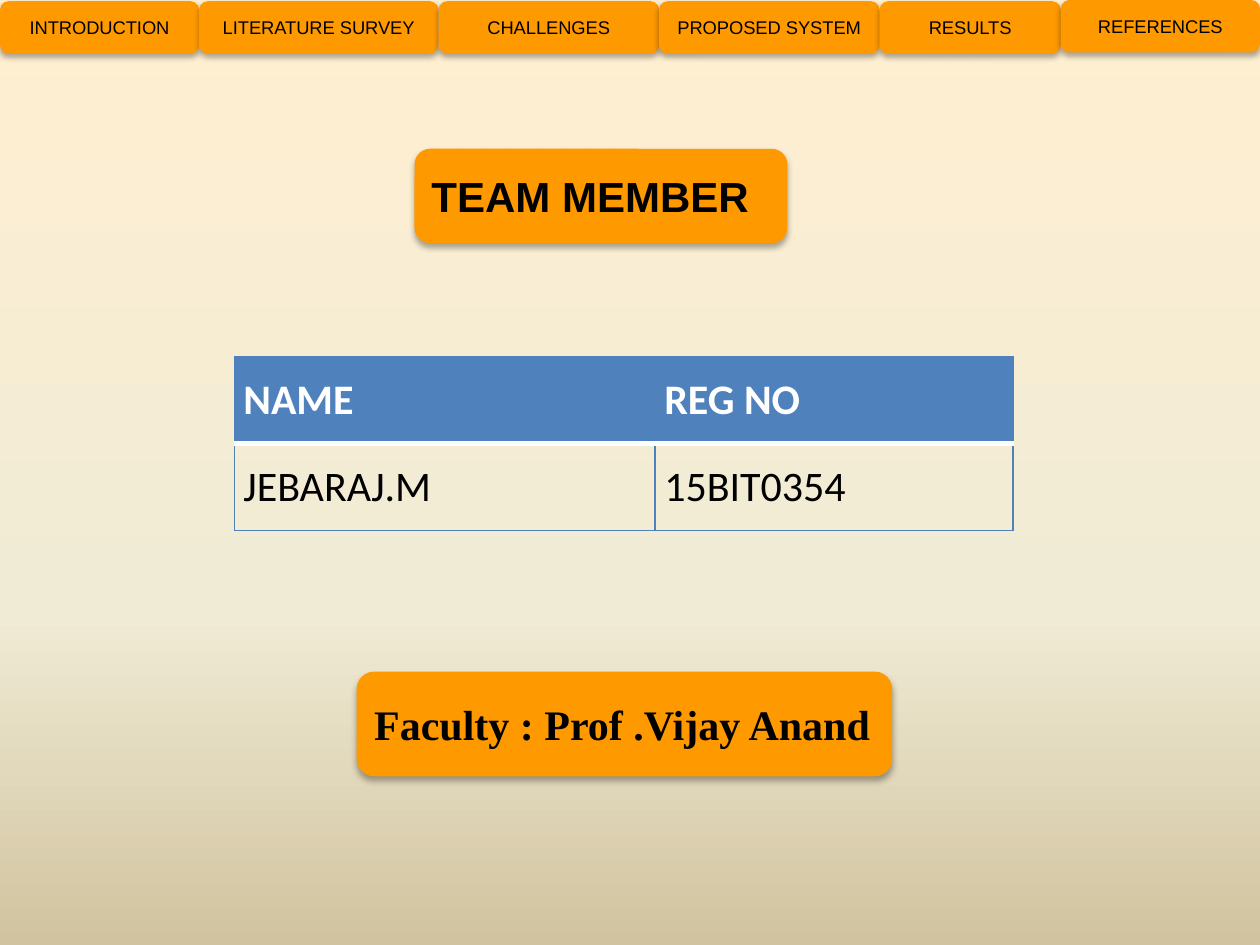
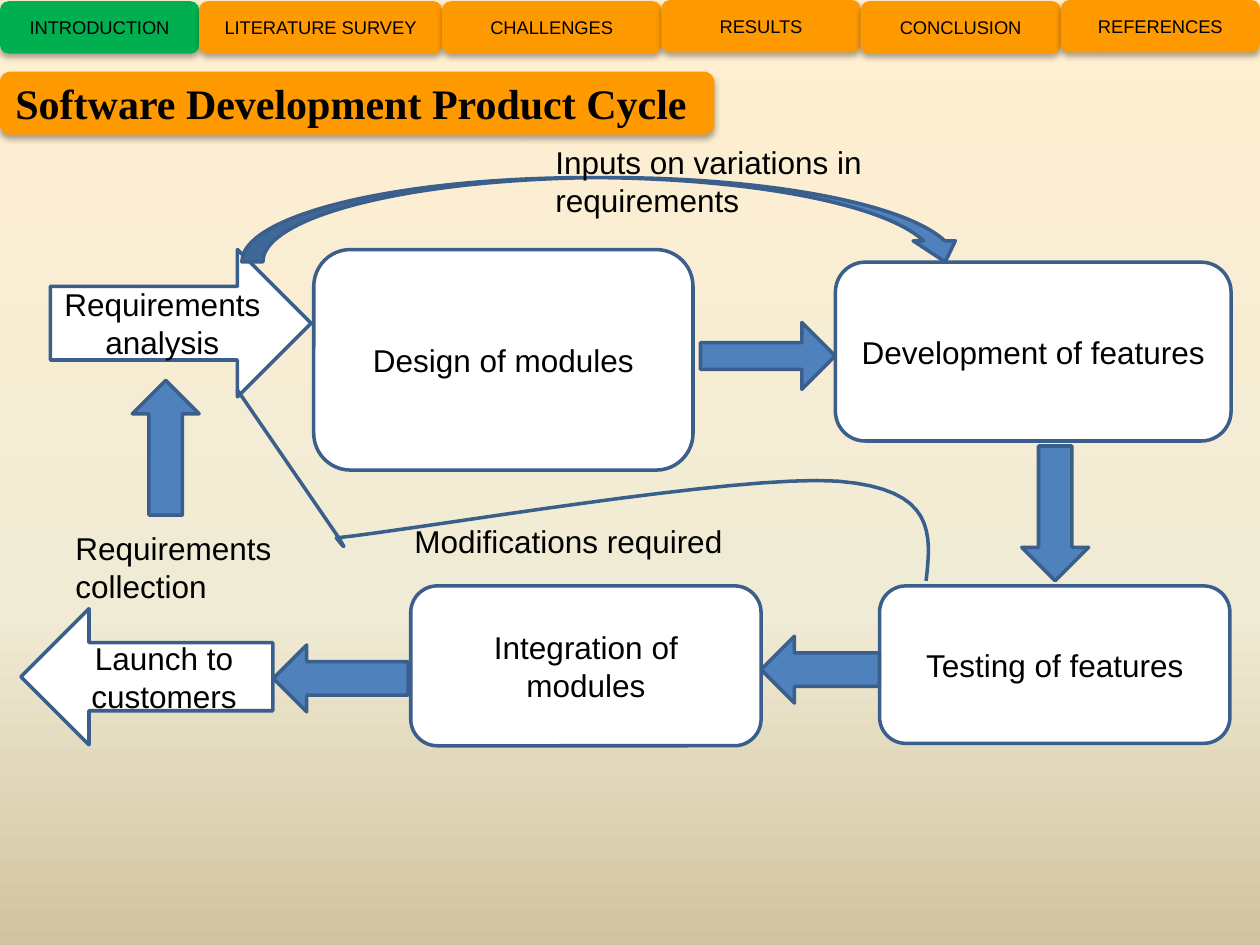
from collections import namedtuple

from lxml import etree
from pptx import Presentation
from pptx import util as u
from pptx.dml import color
from pptx.enum import shapes, text
from pptx.oxml import ns

Kind = shapes.MSO_SHAPE
Align = text.PP_ALIGN
ORANGE, GREEN, BLUE, OUTLINE = "FF9900", "00B050", "4F81BD", "3A5F8C"
BLACK, WHITE = "000000", "FFFFFF"
BACKDROP = ((0, "FFEFD1"), (65, "F0EBD5"), (100, "D1C39F"))


class Box(namedtuple("Box", "left top width height")):
    def inner(self, left, top, width, height):
        return Box(self.left + left, self.top + top, width, height)

    def lengths(self):
        return [u.Pt(value) for value in self]


def rgb(value):
    return color.RGBColor.from_string(value)


def add_xml(parent, tag, **attributes):
    element = etree.SubElement(parent, ns.qn(tag))
    for name, value in attributes.items():
        element.set(name, str(value))
    return element


def write(frame, words, size=18, font="Arial", ink=BLACK, bold=False,
          align=Align.LEFT, anchor=text.MSO_ANCHOR.MIDDLE):
    frame.word_wrap = True
    frame.vertical_anchor = anchor
    para = frame.paragraphs[0]
    para.alignment = align
    span = para.add_run()
    span.text = words
    span.font.size = u.Pt(size)
    span.font.name = font
    span.font.bold = bold
    span.font.color.rgb = rgb(ink)


def add_label(page, box, words):
    label = page.shapes.add_textbox(*box.lengths())
    write(label.text_frame, words, anchor=text.MSO_ANCHOR.TOP)


def add_block(page, kind, box, fill, line=None):
    block = page.shapes.add_shape(kind, *box.lengths())
    block.shadow.inherit = False
    block.fill.solid()
    block.fill.fore_color.rgb = rgb(fill)
    if line:
        block.line.color.rgb = rgb(line)
        block.line.width = u.Pt(2)
    else:
        block.line.fill.background()
    return block


def add_plate(page, box, words, fill=ORANGE, **style):
    """Rounded plate with a soft shadow below it."""
    plate = add_block(page, Kind.ROUNDED_RECTANGLE, box, fill)
    effects = plate.element.spPr.find(ns.qn("a:effectLst"))
    shadow = add_xml(effects, "a:outerShdw", blurRad=u.Pt(3.5), dist=u.Pt(2.2),
                     dir=5400000, rotWithShape=0)
    add_xml(add_xml(shadow, "a:srgbClr", val=BLACK), "a:alpha", val=32000)
    write(plate.text_frame, words, **style)


def add_page(deck):
    page = deck.slides.add_slide(deck.slide_layouts[6])
    fill = page.background.fill
    fill.gradient()
    fill.gradient_angle = 270
    stops = page.element.find(".//" + ns.qn("a:gsLst"))
    for stop in list(stops):
        stops.remove(stop)
    for percent, tint in BACKDROP:
        add_xml(add_xml(stops, "a:gs", pos=percent * 1000), "a:srgbClr", val=tint)
    return page


def navigation(page, box, tabs, active=None, raised=()):
    """Row of tabs, each starting where the one before it ends."""
    left = 0
    for words, width in tabs:
        top = 0 if words in raised else 0.7
        add_plate(page, box.inner(left, top, width, box.height), words,
                  GREEN if words == active else ORANGE,
                  size=10.5, align=Align.CENTER)
        left += width


def set_borders(cell, **sides):
    properties = cell._tc.get_or_add_tcPr()
    for side, (tint, width) in sides.items():
        line = add_xml(properties, f"a:ln{side}", w=u.Pt(width))
        add_xml(add_xml(line, "a:solidFill"), "a:srgbClr", val=tint)


def member_table(page, box, rows, widths):
    table = page.shapes.add_table(len(rows), len(widths), *box.lengths()).table
    table.horz_banding = False
    for column, width in zip(table.columns, widths):
        column.width = u.Pt(width)
    thin, thick = (BLUE, 1), (WHITE, 3)
    for index, row in enumerate(rows):
        header = index == 0
        table.rows[index].height = u.Pt(box.height / len(rows))
        for cell, words in zip(table.rows[index].cells, row):
            set_borders(cell, L=thin, R=thin, T=thin if header else thick,
                        B=thick if header else thin)
            if header:
                cell.fill.solid()
                cell.fill.fore_color.rgb = rgb(BLUE)
            else:
                cell.fill.background()
            cell.margin_left = cell.margin_right = u.Pt(5.2)
            cell.margin_top = cell.margin_bottom = u.Pt(2.9)
            cell.vertical_anchor = text.MSO_ANCHOR.MIDDLE
            write(cell.text_frame, words, size=24, font="Calibri", bold=header,
                  ink=WHITE if header else BLACK)


def curve_points(start, first, second, end, steps=16):
    """Points along a cubic curve, without its start."""
    for step in range(1, steps + 1):
        t = step / steps
        weights = ((1 - t) ** 3, 3 * t * (1 - t) ** 2, 3 * t * t * (1 - t), t ** 3)
        yield tuple(sum(weight * point[axis] for weight, point
                        in zip(weights, (start, first, second, end)))
                    for axis in (0, 1))


def feedback_line(page, box):
    points = [(123.4, 144.5), (180.2, 227.3)]
    curves = (
        ((189.6, 241.7), (180.2, 229.4), (180.2, 229.4)),
        ((227.8, 224.4), (410.6, 192.7), (466.8, 197)),
        ((523, 201.4), (520.1, 227.3), (517.2, 253.9)),
    )
    for curve in curves:
        points.extend(curve_points(points[-1], *curve))
    start, *others = [(u.Pt(box.left + x), u.Pt(box.top + y)) for x, y in points]
    builder = page.shapes.build_freeform(*start)
    builder.add_line_segments(others, close=False)
    line = builder.convert_to_shape()
    line.shadow.inherit = False
    line.fill.background()
    line.line.color.rgb = rgb(OUTLINE)
    line.line.width = u.Pt(2)


def cycle_diagram(page, box):
    stages = (
        (Kind.ROUNDED_RECTANGLE, (167.3, 64.6, 216.7, 126), "Design of modules"),
        (Kind.ROUNDED_RECTANGLE, (465.4, 71.8, 226.1, 102.2), "Development of features"),
        (Kind.ROUNDED_RECTANGLE, (222.7, 256.8, 200.2, 91.4), "Integration of modules"),
        (Kind.ROUNDED_RECTANGLE, (490.6, 256.8, 200.2, 90), "Testing of features"),
        (Kind.RIGHT_ARROW, (16.8, 64.6, 149, 84.2), "Requirements analysis"),
        (Kind.LEFT_ARROW, (0, 269.8, 144, 77.8), "Launch to customers"),
    )
    for kind, place, words in stages:
        stage = add_block(page, kind, box.inner(*place), WHITE, OUTLINE)
        write(stage.text_frame, words, align=Align.CENTER)

    arrows = (
        (Kind.RIGHT_ARROW, (388.3, 106.3, 77, 38.2)),
        (Kind.DOWN_ARROW, (571.9, 176.9, 38.2, 77)),
        (Kind.LEFT_ARROW, (422.9, 285.6, 67.7, 38.2)),
        (Kind.LEFT_ARROW, (144.2, 290.6, 77, 38.2)),
        (Kind.UP_ARROW, (63.6, 139.4, 38.2, 77)),
        (Kind.CURVED_DOWN_ARROW, (126.2, 23.5, 414, 48.2)),
    )
    for kind, place in arrows:
        arrow = add_block(page, kind, box.inner(*place), BLUE, OUTLINE)
        if kind == Kind.RIGHT_ARROW:
            arrow.adjustments[0] = 0.4

    labels = (
        ((24, 220.8, 143.3, 51), "Requirements collection"),
        ((298.3, 0, 249, 51), "Inputs on variations in requirements"),
        ((217.7, 216.5, 231, 28.8), "Modifications required"),
    )
    for place, words in labels:
        add_label(page, box.inner(*place), words)
    feedback_line(page, box)


def team_slide(deck, bar):
    page = add_page(deck)
    tabs = (("INTRODUCTION", 113.8), ("LITERATURE SURVEY", 136.8),
            ("CHALLENGES", 126), ("PROPOSED SYSTEM", 126),
            ("RESULTS", 103.6), ("REFERENCES", 113.8))
    navigation(page, bar, tabs, raised=("REFERENCES",))
    add_plate(page, Box(236.9, 85, 213.1, 54), "TEAM MEMBER", size=24, bold=True)
    member_table(page, Box(133.9, 203.8, 445, 99.4),
                 (("NAME", "REG NO"), ("JEBARAJ.M", "15BIT0354")), (240.5, 204.5))
    add_plate(page, Box(203.8, 383.8, 306, 59.8), "Faculty : Prof .Vijay Anand",
              size=24, font="Times New Roman", bold=True)


def cycle_slide(deck, bar):
    page = add_page(deck)
    tabs = (("INTRODUCTION", 113.8), ("LITERATURE SURVEY", 138.9),
            ("CHALLENGES", 125.3), ("RESULTS", 113.8),
            ("CONCLUSION", 114.4), ("REFERENCES", 113.8))
    navigation(page, bar, tabs, active="INTRODUCTION",
               raised=("RESULTS", "REFERENCES"))
    add_plate(page, Box(0, 41, 408.2, 36), "Software Development Product Cycle",
              size=24, font="Times New Roman", bold=True)
    cycle_diagram(page, Box(12, 78, 692, 348))


def main():
    deck = Presentation()
    deck.slide_width, deck.slide_height = u.Pt(720), u.Pt(540)
    bar = Box(0, 0, 720, 30)
    team_slide(deck, bar)
    cycle_slide(deck, bar)
    deck.save("out.pptx")


if __name__ == "__main__":
    main()
